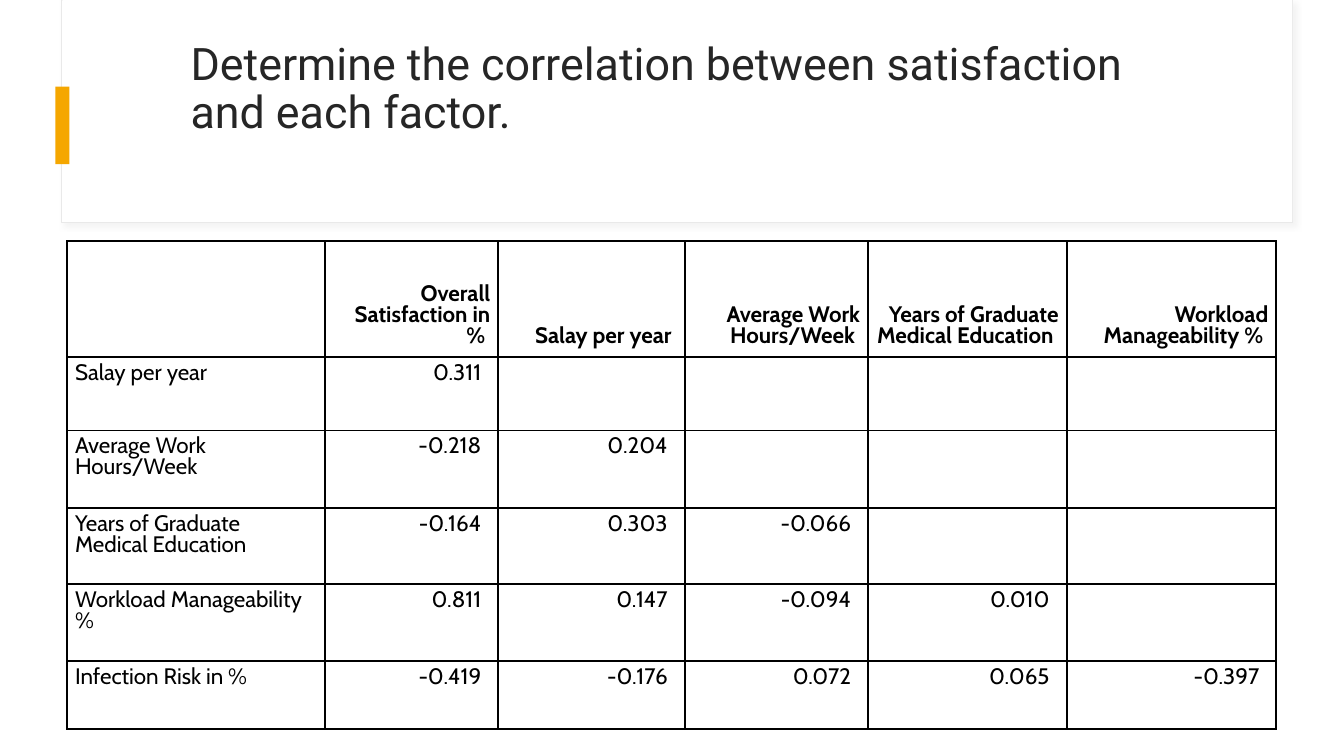
from lxml import etree
from pptx import Presentation
from pptx.dml.color import RGBColor
from pptx.enum.shapes import MSO_SHAPE
from pptx.enum.text import MSO_ANCHOR, PP_ALIGN
from pptx.oxml import parse_xml
from pptx.oxml.ns import qn
from pptx.util import Pt

RECTANGLE = MSO_SHAPE.RECTANGLE
TOP, MIDDLE, BOTTOM = MSO_ANCHOR.TOP, MSO_ANCHOR.MIDDLE, MSO_ANCHOR.BOTTOM
LEFT, RIGHT = PP_ALIGN.LEFT, PP_ALIGN.RIGHT
DRAWING = "http://schemas.openxmlformats.org/drawingml/2006/main"
HARD_SPACE = chr(160)

TITLE = "Determine the correlation between satisfaction and each factor."
FACTORS = [
    "Overall Satisfaction in %",
    "Salay per year",
    "Average Work Hours/Week",
    "Years of Graduate Medical Education",
    "Workload Manageability %",
    "Infection Risk in %",
]
CORRELATIONS = [
    ["0.311"],
    ["-0.218", "0.204"],
    ["-0.164", "0.303", "-0.066"],
    ["0.811", "0.147", "-0.094", "0.010"],
    ["-0.419", "-0.176", "0.072", "0.065", "-0.397"],
]

COLORS = {
    "white": "FFFFFF",
    "panel_line": "E9E9E9",
    "shadow": "D9D9D9",
    "accent": "F5A700",
    "title": "262626",
    "table": "000000",
}
PANEL = (43.9, 0, 879.1, 159.1)
PANEL_FACE = (44.6, 0, 878.4, 158.4)
ACCENT = (39.6, 61.9, 10.1, 55.4)
TITLE_BOX = (128.9, 13.7, 702, 100.8)
TABLE_LEFT, TABLE_TOP = 47.9, 172.1
COLUMN_WIDTHS = [184.3, 123.8, 133.2, 131, 141.8, 149.8]
ROW_HEIGHTS = [82.8, 52.6, 55.4, 54, 55.4, 48.2]
CELL_INSET, VALUE_INSET = 5.76, 8.64


def color(name):
    return RGBColor.from_string(COLORS[name])


def add_block(slide, box, fill):
    shape = slide.shapes.add_shape(RECTANGLE, *map(Pt, box))
    shape.shadow.inherit = False
    shape.fill.solid()
    shape.fill.fore_color.rgb = color(fill)
    shape.line.fill.background()
    slide.shapes.title.element.addprevious(shape.element)
    return shape


def add_panel(slide):
    panel = add_block(slide, PANEL, "white")
    panel.line.color.rgb = color("panel_line")
    panel.line.width = Pt(0.75)
    effects = panel.element.spPr.find(qn("a:effectLst"))
    effects.append(parse_xml(
        f'<a:outerShdw xmlns:a="{DRAWING}" blurRad="{Pt(4)}" dist="{Pt(3)}" '
        f'dir="{45 * 60000}" algn="tl" rotWithShape="0">'
        f'<a:srgbClr val="{COLORS["shadow"]}"><a:alpha val="30000"/></a:srgbClr>'
        '</a:outerShdw>'))
    add_block(slide, PANEL_FACE, "white")


def format_title(title):
    title.left, title.top, title.width, title.height = map(Pt, TITLE_BOX)
    frame = title.text_frame
    frame.text = TITLE
    frame.word_wrap = True
    frame.vertical_anchor = MIDDLE
    paragraph = frame.paragraphs[0]
    paragraph.alignment = LEFT
    paragraph.line_spacing = 0.9
    paragraph.font.name = "Roboto"
    paragraph.font.size = Pt(32)
    paragraph.font.color.rgb = color("title")


def add_borders(cell):
    properties = cell._tc.get_or_add_tcPr()
    for position, side in enumerate(("lnL", "lnR", "lnT", "lnB")):
        line = etree.Element(qn(f"a:{side}"), w=str(Pt(1.5)))
        fill = etree.SubElement(line, qn("a:solidFill"))
        etree.SubElement(fill, qn("a:srgbClr"), val=COLORS["table"])
        properties.insert(position, line)


def format_cell(cell, text, is_header, is_label):
    cell.fill.background()
    add_borders(cell)
    is_value = not is_header and not is_label
    cell.margin_left = cell.margin_top = cell.margin_bottom = Pt(CELL_INSET)
    cell.margin_right = Pt(VALUE_INSET if is_value else CELL_INSET)
    cell.vertical_anchor = BOTTOM if is_header else TOP
    if text:
        cell.text = text + HARD_SPACE
    paragraph = cell.text_frame.paragraphs[0]
    paragraph.alignment = LEFT if is_label else RIGHT
    paragraph.line_spacing = Pt(15)
    paragraph.font.name = "Cabin"
    paragraph.font.size = Pt(16)
    paragraph.font.bold = is_header
    paragraph.font.color.rgb = color("table")


def add_correlation_table(slide):
    rows = [["", *FACTORS[:-1]]]
    rows += [[label, *values] for label, values in zip(FACTORS[1:], CORRELATIONS)]
    table = slide.shapes.add_table(
        len(ROW_HEIGHTS), len(COLUMN_WIDTHS), Pt(TABLE_LEFT), Pt(TABLE_TOP),
        Pt(sum(COLUMN_WIDTHS)), Pt(sum(ROW_HEIGHTS))).table
    table.horz_banding = False
    table.first_row = False
    for column, width in zip(table.columns, COLUMN_WIDTHS):
        column.width = Pt(width)
    for row_index, (row, height) in enumerate(zip(table.rows, ROW_HEIGHTS)):
        row.height = Pt(height)
        texts = rows[row_index]
        for column_index, cell in enumerate(row.cells):
            text = texts[column_index] if column_index < len(texts) else ""
            format_cell(cell, text, row_index == 0, column_index == 0)


def main():
    presentation = Presentation()
    presentation.slide_width, presentation.slide_height = Pt(960), Pt(540)
    slide = presentation.slides.add_slide(presentation.slide_layouts[5])
    add_panel(slide)
    add_block(slide, ACCENT, "accent")
    format_title(slide.shapes.title)
    add_correlation_table(slide)
    presentation.save("out.pptx")


if __name__ == "__main__":
    main()
